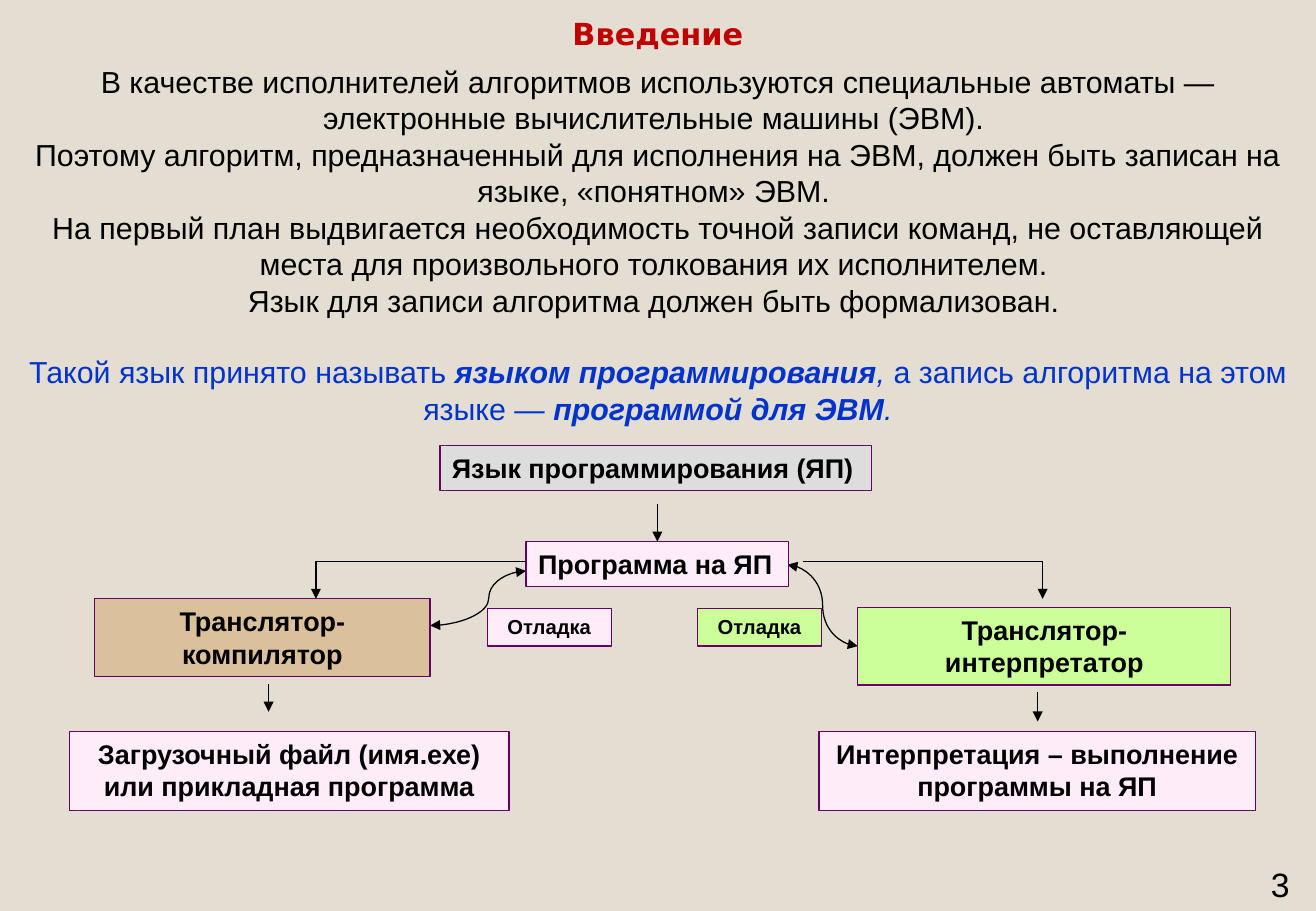
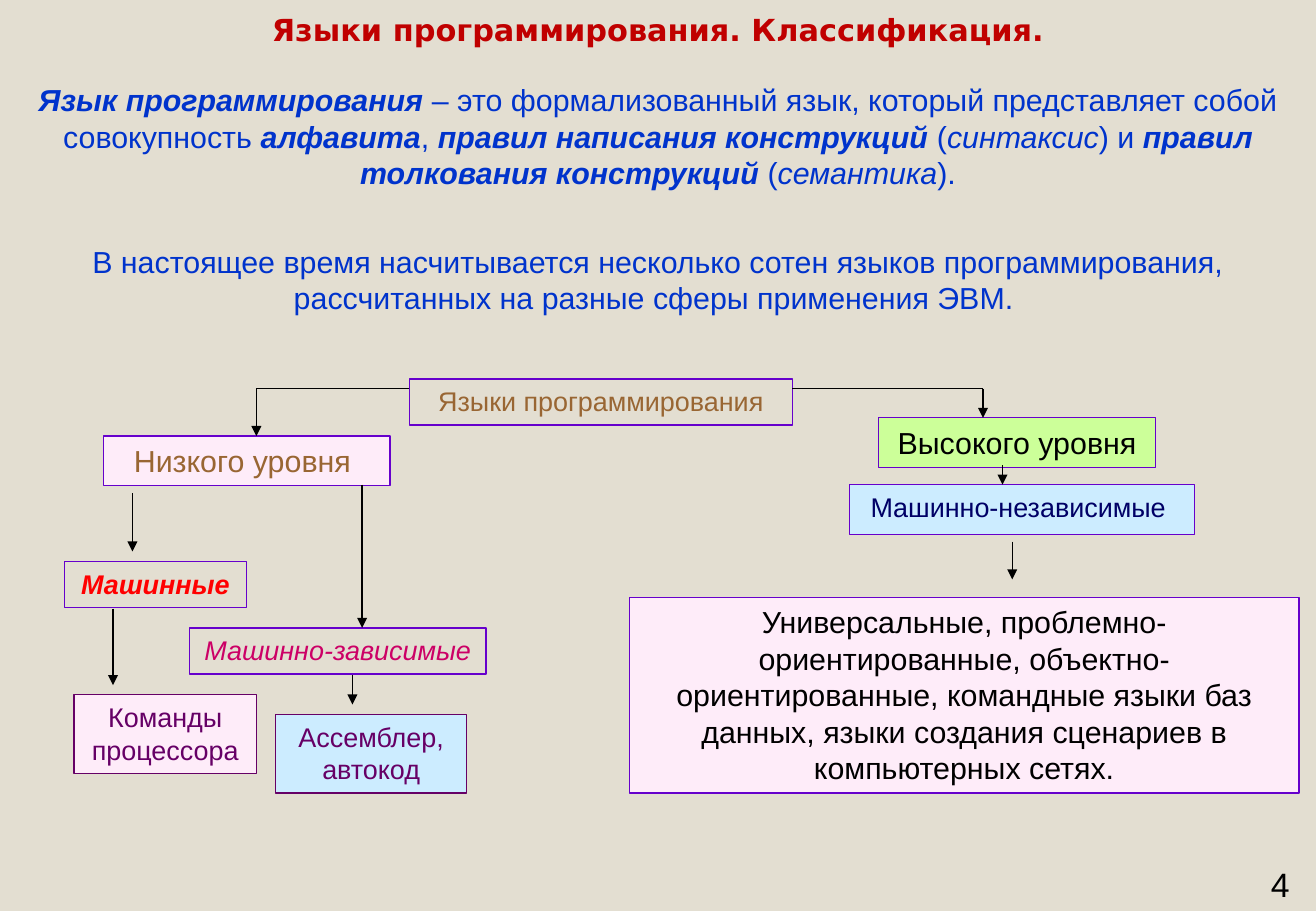
from lxml.etree import SubElement
from pptx import Presentation
from pptx.dml.color import RGBColor
from pptx.enum.shapes import MSO_CONNECTOR, MSO_SHAPE
from pptx.enum.text import MSO_ANCHOR, PP_ALIGN
from pptx.oxml.ns import qn
from pptx.util import Inches, Pt

SLIDE_WIDTH, SLIDE_HEIGHT = 10.83, 7.5
BODY_FONT, TITLE_FONT = "Arial", "DejaVu Sans"
BACKGROUND, TITLE_RED, BLACK, BLUE = "E3DED1", "C00000", "000000", "0033CC"
PLUM, VIOLET, BROWN, NAVY = "660066", "6600CC", "996633", "000066"
CRIMSON, RED = "CC0066", "FF0000"
PINK, GREEN, SKY, GREY, TAN = "FEECF9", "CCFF99", "CCECFF", "DDDDDD", "DAC19B"
LINE_WIDTH = 0.75
BLANK_LINE = 21
JOIN_TOLERANCE = Inches(0.01)

# Texts: (area, paragraphs); a paragraph is (colour, space before, runs);
# a run is (text, style), where the style letters are b(old) and i(talic).
# Boxes: (area, text, size, colour, style, fill, line).
# Arrows: the points of a path, with the arrowhead at the last one.
# Curves: (start, end, position of the bend), with arrowheads at both ends.
SLIDES = [
    {
        "title": "Введение",
        "title_height": 0.47,
        "number": "3",
        "texts": [
            ((0, 0.47, SLIDE_WIDTH, 3.13), [
                (BLACK, 0, [("В качестве исполнителей алгоритмов используются специальные "
                             "автоматы — электронные вычислительные машины (ЭВМ). ", "")]),
                (BLACK, 0, [("Поэтому алгоритм, предназначенный для исполнения на ЭВМ, "
                             "должен быть записан на языке, «понятном» ЭВМ. ", "")]),
                (BLACK, 0, [("На первый план выдвигается необходимость точной записи команд, "
                             "не оставляющей места для произвольного толкования их "
                             "исполнителем. ", "")]),
                (BLACK, 0, [("Язык для записи алгоритма должен быть формализован. ", "")]),
                (BLUE, BLANK_LINE, [
                    ("Такой язык принято называть ", ""),
                    ("языком программирования", "bi"),
                    (", ", "i"),
                    ("а запись алгоритма на этом языке — ", ""),
                    ("программой для ЭВМ", "bi"),
                    (".", "i"),
                ]),
            ]),
        ],
        "box_align": {"Язык программирования (ЯП)": PP_ALIGN.LEFT,
                      "Программа на ЯП": PP_ALIGN.LEFT},
        "boxes": [
            ((3.62, 3.67, 3.55, 0.37), "Язык программирования (ЯП)", 16, BLACK, "b", GREY, PLUM),
            ((4.33, 4.46, 2.16, 0.37), "Программа на ЯП", 16, BLACK, "b", PINK, PLUM),
            ((0.78, 4.93, 2.76, 0.64), "Транслятор-компилятор", 16, BLACK, "b", TAN, PLUM),
            ((0.57, 6.02, 3.62, 0.65), "Загрузочный файл (имя.ехе) или прикладная программа",
             16, BLACK, "b", PINK, PLUM),
            ((7.06, 5, 3.07, 0.64), "Транслятор-интерпретатор", 16, BLACK, "b", GREEN, PLUM),
            ((6.74, 6.02, 3.59, 0.65), "Интерпретация – выполнение программы на ЯП",
             16, BLACK, "b", PINK, PLUM),
            ((4.01, 5.01, 1.02, 0.31), "Отладка", 12, BLACK, "b", PINK, PLUM),
            ((5.74, 5.01, 1.02, 0.31), "Отладка", 12, BLACK, "b", GREEN, PLUM),
        ],
        "arrows": [
            [(5.41, 4.15), (5.41, 4.46)],
            [(4.33, 4.62), (2.6, 4.62), (2.6, 4.93)],
            [(6.61, 4.62), (8.58, 4.62), (8.58, 4.93)],
            [(2.21, 5.63), (2.21, 5.86)],
            [(8.54, 5.7), (8.54, 5.94)],
        ],
        "curves": [
            ((4.33, 4.7), (3.54, 5.15), 0.39),
            ((7.06, 5.32), (6.48, 4.65), 0.5),
        ],
    },
    {
        "title": "Языки программирования. Классификация.",
        "title_height": 0.44,
        "number": "4",
        "texts": [
            ((0, 0.62, SLIDE_WIDTH, 1.01), [
                (BLUE, 0, [
                    ("Язык программирования", "bi"),
                    (" – это формализованный язык, который представляет собой "
                     "совокупность ", ""),
                    ("алфавита", "bi"),
                    (", ", ""),
                    ("правил написания конструкций", "bi"),
                    (" (", ""),
                    ("синтаксис", "i"),
                    (") и ", ""),
                    ("правил толкования конструкций", "bi"),
                    (" (", ""),
                    ("семантика", "i"),
                    (").", ""),
                ]),
            ]),
            ((0, 1.95, SLIDE_WIDTH, 0.71), [
                (BLUE, 0, [("В настоящее время насчитывается несколько сотен языков "
                            "программирования, рассчитанных на разные сферы применения "
                            "ЭВМ. ", "")]),
            ]),
        ],
        "box_align": {},
        "boxes": [
            ((3.37, 3.12, 3.15, 0.38), "Языки программирования", 16, BROWN, "", None, VIOLET),
            ((0.85, 3.59, 2.36, 0.41), "Низкого уровня ", 18, BROWN, "", PINK, VIOLET),
            ((6.99, 3.99, 2.84, 0.41), "Машинно-независимые ", 16, NAVY, "", SKY, VIOLET),
            ((7.23, 3.44, 2.28, 0.41), "Высокого уровня", 18, BLACK, "", GREEN, VIOLET),
            ((5.18, 4.92, 5.51, 1.61),
             "Универсальные, проблемно-ориентированные, объектно-ориентированные, "
             "командные языки баз данных, языки создания сценариев в компьютерных сетях.",
             18, BLACK, "", PINK, VIOLET),
            ((1.56, 5.17, 2.44, 0.38), "Машинно-зависимые", 16, CRIMSON, "i", None, VIOLET),
            ((0.53, 4.62, 1.5, 0.38), "Машинные", 16, RED, "bi", None, VIOLET),
            ((2.27, 5.88, 1.57, 0.65), "Ассемблер, автокод", 16, PLUM, "", SKY, PLUM),
            ((0.61, 5.72, 1.5, 0.65), "Команды процессора", 16, PLUM, "", PINK, PLUM),
        ],
        "arrows": [
            [(3.37, 3.2), (2.11, 3.2), (2.11, 3.59)],
            [(6.52, 3.2), (8.09, 3.2), (8.09, 3.44)],
            [(8.25, 3.83), (8.25, 3.99)],
            [(8.33, 4.46), (8.33, 4.77)],
            [(1.09, 4.06), (1.09, 4.54)],
            [(0.93, 5.01), (0.93, 5.64)],
            [(2.98, 3.99), (2.98, 5.17)],
            [(2.9, 5.56), (2.9, 5.8)],
        ],
        "curves": [],
    },
]


def rgb(value):
    return RGBColor.from_string(value)


def inches(lengths):
    return [Inches(length) for length in lengths]


def add_run(paragraph, text, size, color, style="", font=BODY_FONT):
    run = paragraph.add_run()
    run.text = text
    run.font.name = font
    run.font.size = Pt(size)
    run.font.bold = "b" in style
    run.font.italic = "i" in style
    run.font.color.rgb = rgb(color)


def add_text_frame(slide, area, anchor=MSO_ANCHOR.TOP):
    frame = slide.shapes.add_textbox(*inches(area)).text_frame
    frame.word_wrap = True
    frame.vertical_anchor = anchor
    return frame


def add_title(slide, text, height):
    frame = add_text_frame(slide, (0, 0, SLIDE_WIDTH, height), MSO_ANCHOR.BOTTOM)
    frame.paragraphs[0].alignment = PP_ALIGN.CENTER
    add_run(frame.paragraphs[0], text, 18, TITLE_RED, "b", TITLE_FONT)


def add_slide_number(slide, number):
    width, height = 0.47, 0.44
    area = (SLIDE_WIDTH - width, SLIDE_HEIGHT - height, width, height)
    add_run(add_text_frame(slide, area).paragraphs[0], number, 20, BLACK)


def add_body_text(slide, area, paragraphs):
    frame = add_text_frame(slide, area)
    for index, (color, space_before, runs) in enumerate(paragraphs):
        paragraph = frame.add_paragraph() if index else frame.paragraphs[0]
        paragraph.alignment = PP_ALIGN.CENTER
        paragraph.space_before = Pt(space_before)
        for text, style in runs:
            add_run(paragraph, text, 18, color, style)


def add_box(slide, area, text, size, color, style, fill, line, alignment):
    shape = slide.shapes.add_shape(MSO_SHAPE.RECTANGLE, *inches(area))
    shape.shadow.inherit = False
    if fill:
        shape.fill.solid()
        shape.fill.fore_color.rgb = rgb(fill)
    else:
        shape.fill.background()
    shape.line.color.rgb = rgb(line)
    shape.line.width = Pt(LINE_WIDTH)
    frame = shape.text_frame
    frame.word_wrap = True
    frame.vertical_anchor = MSO_ANCHOR.TOP
    frame.paragraphs[0].alignment = alignment
    add_run(frame.paragraphs[0], text, size, color, style)
    return shape


def add_line(slide, kind, start, end, arrowheads=()):
    connector = slide.shapes.add_connector(kind, *inches(start + end))
    connector.line.color.rgb = rgb(BLACK)
    connector.line.width = Pt(LINE_WIDTH)
    properties = connector._element.spPr
    for name in arrowheads:
        SubElement(properties.find(qn("a:ln")), qn(name), type="triangle")
    SubElement(properties, qn("a:effectLst"))
    return connector


def add_curve(slide, start, end, bend):
    connector = add_line(slide, MSO_CONNECTOR.CURVE, start, end, ("a:headEnd", "a:tailEnd"))
    geometry = connector._element.spPr.find(qn("a:prstGeom"))
    adjustments = geometry.find(qn("a:avLst"))
    if adjustments is None:
        adjustments = SubElement(geometry, qn("a:avLst"))
    SubElement(adjustments, qn("a:gd"), name="adj1", fmla=f"val {round(bend * 100000)}")


def join_to_boxes(connector, boxes):
    """Join each end that lies at the middle of a box side to that side."""
    ends = [
        (connector.begin_x, connector.begin_y, connector.begin_connect),
        (connector.end_x, connector.end_y, connector.end_connect),
    ]
    for box in boxes:
        middle_x, middle_y = box.left + box.width // 2, box.top + box.height // 2
        sides = [(middle_x, box.top), (box.left, middle_y),
                 (middle_x, box.top + box.height), (box.left + box.width, middle_y)]
        for site, (side_x, side_y) in enumerate(sides):
            for x, y, connect in ends:
                if max(abs(x - side_x), abs(y - side_y)) <= JOIN_TOLERANCE:
                    connect(box, site)


def add_arrow(slide, points, boxes):
    for index in range(1, len(points)):
        arrowheads = ("a:tailEnd",) if index == len(points) - 1 else ()
        connector = add_line(slide, MSO_CONNECTOR.STRAIGHT, points[index - 1],
                             points[index], arrowheads)
        join_to_boxes(connector, boxes)


def build_slide(presentation, content):
    slide = presentation.slides.add_slide(presentation.slide_layouts[6])
    slide.background.fill.solid()
    slide.background.fill.fore_color.rgb = rgb(BACKGROUND)
    add_title(slide, content["title"], content["title_height"])
    for area, paragraphs in content["texts"]:
        add_body_text(slide, area, paragraphs)
    for curve in content["curves"]:
        add_curve(slide, *curve)
    boxes = [add_box(slide, *box, content["box_align"].get(box[1], PP_ALIGN.CENTER))
             for box in content["boxes"]]
    for points in content["arrows"]:
        add_arrow(slide, points, boxes)
    add_slide_number(slide, content["number"])


def main():
    presentation = Presentation()
    presentation.slide_width = Inches(SLIDE_WIDTH)
    presentation.slide_height = Inches(SLIDE_HEIGHT)
    for content in SLIDES:
        build_slide(presentation, content)
    presentation.save("out.pptx")


if __name__ == "__main__":
    main()
